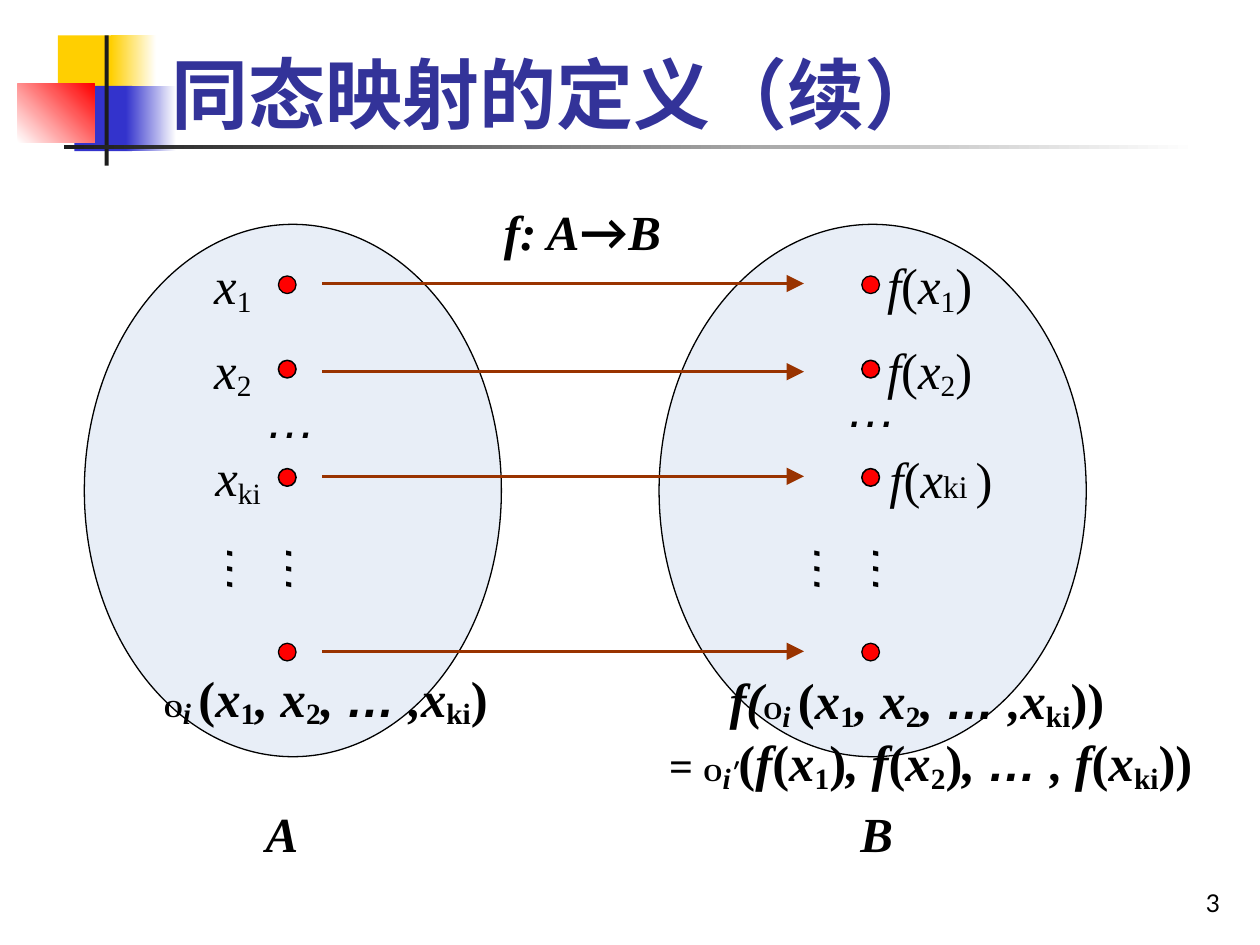
"""Build the slide that defines a homomorphism between two algebras A and B."""
import pptx
import pptx.util
import pptx.dml.color
import pptx.enum.shapes
import pptx.enum.text
import pptx.oxml.ns
import lxml.etree

Pt = pptx.util.Pt
SHAPE = pptx.enum.shapes.MSO_SHAPE
ALIGN = pptx.enum.text.PP_ALIGN
ANCHOR = pptx.enum.text.MSO_ANCHOR
TIMES = "Times New Roman"
COLORS = {
    "yellow": "FFCF01", "blue": "3333CC", "red": "FF0000", "white": "FFFFFF",
    "dark": "1C1C1C", "title": "333399", "set": "E8EEF7", "black": "000000",
    "arrow": "993300",
}


def rgb(name):
    return pptx.dml.color.RGBColor.from_string(COLORS[name])


def text(runs, x, y, w, h, size=29, font=TIMES, color="black", bold=False,
         align=ALIGN.LEFT, anchor=ANCHOR.TOP, inset=(0, 0), vert=None):
    """Add a box of (text, style, size, font) runs; style i is italic, s subscript."""
    tf = s.shapes.add_textbox(Pt(x), Pt(y), Pt(w), Pt(h)).text_frame
    tf.word_wrap = True
    tf.vertical_anchor = anchor
    tf.margin_left = tf.margin_right = Pt(inset[0])
    tf.margin_top = tf.margin_bottom = Pt(inset[1])
    if vert:
        tf._txBody.bodyPr.set("vert", vert)
    p = tf.paragraphs[0]
    p.alignment = align
    for t, style, *own in runs:
        r = p.add_run()
        r.text = t
        r.font.size = Pt(own[0] if own else size)
        r.font.name = own[1] if len(own) > 1 else font
        r.font.bold = bold
        r.font.italic = "i" in style
        r.font.color.rgb = rgb(color)
        if "s" in style:
            r.font._element.set("baseline", "-15000")


prs = pptx.Presentation()
prs.slide_width, prs.slide_height = Pt(720), Pt(540)
s = prs.slides.add_slide(prs.slide_layouts[6])

for x, y, w, h, start, end, angle in [
    (33.1, 20.2, 34.6, 37.4, "yellow", None, 0),
    (63.4, 20.2, 25.9, 37.4, "yellow", "white", 0),
    (42.5, 49, 33.1, 37.4, "blue", None, 0),
    (72, 49, 28.8, 37.4, "blue", "white", 0),
    (10.1, 48, 43.9, 33.3, "white", "red", 45),
    (59.8, 20.2, 2.3, 74.5, "dark", None, 0),
    (36.7, 82.8, 648, 2.2, "dark", "white", 0),
]:
    sp = s.shapes.add_shape(SHAPE.RECTANGLE, Pt(x), Pt(y), Pt(w), Pt(h))
    sp.shadow.inherit = False
    sp.line.fill.background()
    if end:
        sp.fill.gradient()
        sp.fill.gradient_angle = angle
        for stop, name in zip(sp.fill.gradient_stops, (start, end)):
            stop.color.rgb = rgb(name)
    else:
        sp.fill.solid()
        sp.fill.fore_color.rgb = rgb(start)

text([("3", "")], 554.4, 491.8, 149.8, 36, size=14, font="Lato",
     align=ALIGN.RIGHT, anchor=ANCHOR.BOTTOM, inset=(7.2, 3.6))
text([("同态映射的定义（续）", "")], 90.7, 5.8, 613.4, 77, size=44, font="Lato",
     color="title", bold=True, anchor=ANCHOR.BOTTOM, inset=(7.2, 3.6))

ovals = [(376.6, 128.2, 244.1, 304.2, "set", 0), (48.2, 128.2, 238.3, 304.2, "set", 0)]
for y, weight in [(157.7, 0), (205.9, 0.88), (267.8, 0.88), (367.6, 0)]:
    ovals += [(x, y, 10.1, 10.1, "red", weight) for x in (159.1, 492.5)]
for x, y, w, h, fill, weight in ovals:
    sp = s.shapes.add_shape(SHAPE.OVAL, Pt(x), Pt(y), Pt(w), Pt(h))
    sp.shadow.inherit = False
    sp.fill.solid()
    sp.fill.fore_color.rgb = rgb(fill)
    sp.line.color.rgb = rgb("black")
    sp.line.width = Pt(weight)

for y in (162, 212.4, 272.2, 372.2):
    c = s.shapes.add_connector(pptx.enum.shapes.MSO_CONNECTOR.STRAIGHT,
                               Pt(184.3), Pt(y), Pt(459.4), Pt(y))
    c.line.color.rgb = rgb("arrow")
    c.line.width = Pt(1.5)
    ln = c.line._get_or_add_ln()
    lxml.etree.SubElement(ln, pptx.oxml.ns.qn("a:tailEnd"),
                          type="triangle", w="lg", len="lg")
    lxml.etree.SubElement(c._element.spPr, pptx.oxml.ns.qn("a:effectLst"))

for sub, y in [("1", 145), ("2", 193.3)]:
    text([("x", "i"), (sub, "s")], 122.4, y, 32, 34.6)
    text([("f", "i"), ("(", ""), ("x", "i"), (sub, "s"), (")", "")],
         506.9, y, 72, 34.6)
text([("x", "i"), ("ki", "s")], 123.1, 254.9, 36, 34.6)
text([("f", "i"), ("(", ""), ("x", "i"), ("ki ", "", 18), (")", "")],
     508.3, 255.6, 80, 34.6)

for x, y in [(151.9, 221.8), (483.8, 215.3)]:
    text([("…", "i")], x, y, 36, 34.6, font="Arial")
for x in (147.6, 483.1):
    text([("……", "i")], x, 305.3, 47.5, 67.7, size=28, font="Arial",
         inset=(3.6, 7.2), vert="eaVert")

dots = ("… ", "i", 28, "Arial")
operation = [
    ("O", "", 14), ("i ", "is"), ("(", ""), ("x", "i"), ("1", "s"), (", x", "i"),
    ("2", "s"), (", ", "i"), dots, (",", "i", 28), ("x", "i"), ("ki", "s"), (")", ""),
]
text(operation, 93.6, 380.9, 226.1, 36.7, bold=True)
text([("f(", "i"), *operation, (")", "")], 416.9, 382.3, 226.1, 36.7, bold=True)
text([
    ("= ", "", 24), ("O", "", 14), ("i", "is"), ("′", "i", 14, "Lato"), ("(", ""),
    ("f", "i"), ("(", ""), ("x", "i"), ("1", "s"), (")", ""), (", f", "i"), ("(", ""),
    ("x", "i"), ("2", "s"), (")", ""), (", ", "i"), dots, (", ", "i", 28), ("f", "i"),
    ("(", ""), ("x", "i"), ("ki", "s"), ("))", ""),
], 382.3, 417.6, 320.4, 36.7, bold=True)

for runs, x, y, w in [
    ([("A", "i")], 144.7, 455.8, 107.3),
    ([("B", "i")], 484.6, 455.8, 107.3),
    ([("f: A", "i"), ("→", "i", 28, "Lato"), ("B", "i")], 280.8, 111.6, 136.1),
]:
    text(runs, x, y, w, 41, size=28, bold=True, inset=(7.2, 3.6))

prs.save("out.pptx")
